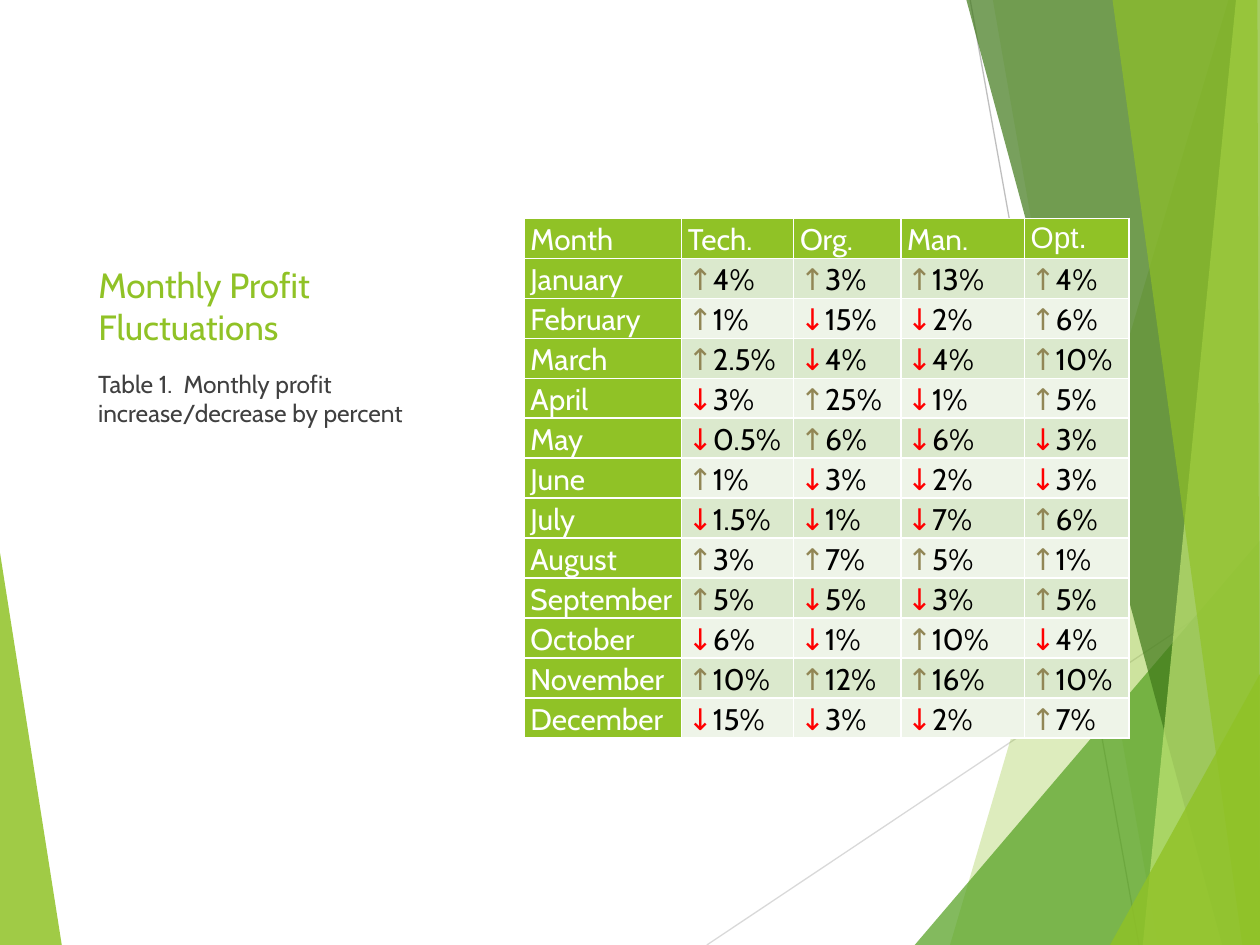
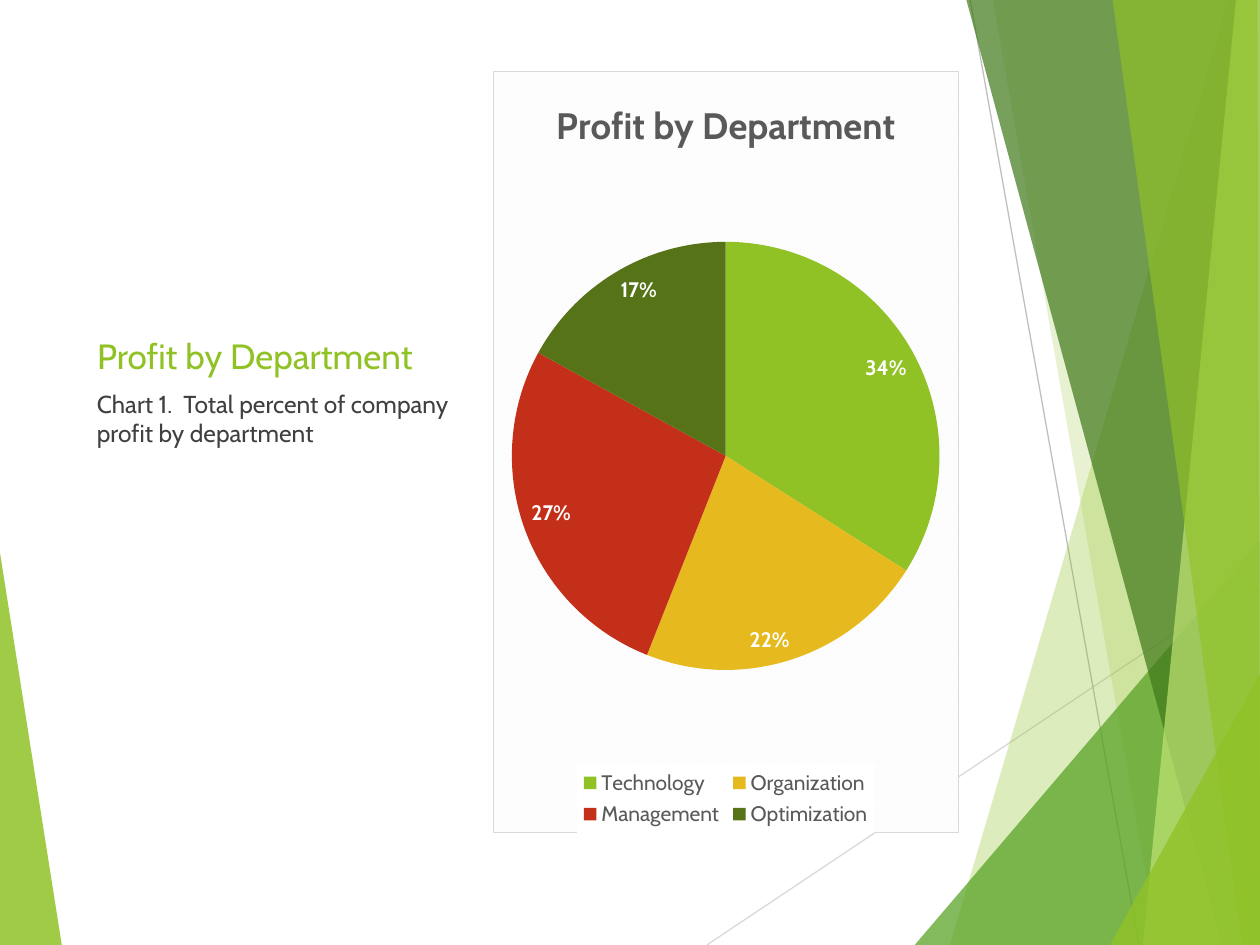
"""Build two slides on monthly and departmental profit."""
from lxml import etree
from pptx import Presentation, util as u
from pptx.chart.data import CategoryChartData
from pptx.dml.color import RGBColor
from pptx.enum import chart as ch, shapes, text
from pptx.oxml import parse_xml
from pptx.oxml.ns import nsdecls, qn

LIME = RGBColor(0x90, 0xC2, 0x26)
LEAF = RGBColor(0x54, 0xA0, 0x21)
PINE = RGBColor(0x3F, 0x78, 0x19)
PALE = RGBColor(0xC0, 0xE4, 0x74)
GOLD = RGBColor(0xE6, 0xB9, 0x1E)
RUST = RGBColor(0xC4, 0x2F, 0x1A)
MOSS = RGBColor(0x56, 0x74, 0x17)
MIST = RGBColor(0xDB, 0xE9, 0xCD)
HAZE = RGBColor(0xEE, 0xF4, 0xE8)
SAND = RGBColor(0x91, 0x86, 0x55)
RED = RGBColor(0xFF, 0x00, 0x00)
INK = RGBColor(0x40, 0x40, 0x40)
GREY = RGBColor(0x59, 0x59, 0x59)
ASH = RGBColor(0xBF, 0xBF, 0xBF)
SILVER = RGBColor(0xD9, 0xD9, 0xD9)
BLACK = RGBColor(0, 0, 0)
WHITE = RGBColor(0xFF, 0xFF, 0xFF)
FONT = "Cabin"

deck = Presentation()
deck.slide_width, deck.slide_height = u.Inches(10), u.Inches(7.5)
COL, ROW = deck.slide_width // 1000, deck.slide_height // 1000
plain = deck.slide_layouts[5]


def box(left, top, wide, high):
    return left * COL, top * ROW, wide * COL, high * ROW


def style(font, size, color, name=FONT, bold=False):
    font.size, font.name, font.bold = u.Pt(size), name, bold
    font.color.rgb = color


topics = [
    ("Monthly Profit Fluctuations", (68, 231, 305, 143),
     "Table 1.  Monthly profit increase/decrease by percent", (68, 384, 349, 556)),
    ("Profit by Department", (67, 219, 305, 186),
     "Chart 1.  Total percent of company profit by department", (67, 405, 305, 378)),
]
pages = []
for head, spot, note, place in topics:
    page = deck.slides.add_slide(plain)
    pages.append(page)
    title = page.shapes.title
    title.left, title.top, title.width, title.height = box(*spot)
    body = page.shapes.add_textbox(*box(*place))
    for shape, words, size, color in ((title, head, 20, LIME), (body, note, 14, INK)):
        frame = shape.text_frame
        frame.text, frame.word_wrap = words, True
        frame.auto_size = text.MSO_AUTO_SIZE.NONE
        para = frame.paragraphs[0]
        para.alignment = text.PP_ALIGN.LEFT
        style(para.font, size, color)
    title.text_frame.vertical_anchor = text.MSO_ANCHOR.BOTTOM
    body.text_frame.paragraphs[0].space_before = u.Pt(10)
first, second = pages

foot, peak = (1000, 1000), (1000, 0)
bands = [
    ([(0, 585), (49, 1000), (0, 1000)], LIME, 85),
    ([(975, 0), (754, 1000), foot, peak], LIME, 30),
    ([(788, 0), (919, 1000), foot, peak], LIME, 20),
    ([(726, 1000), (1000, 572), foot], LEAF, 72),
    ([(767, 0), (970, 1000), foot, peak], PINE, 70),
    ([(981, 0), (907, 1000), foot, peak], PALE, 70),
    ([(883, 0), (986, 1000), foot, (998, 0)], LIME, 65),
    ([(881, 1000), (1000, 713), foot], LIME, 80),
]
parts = []
for points, color, share in bands:
    build = first.shapes.build_freeform(*points[0], scale=(COL, ROW))
    build.add_line_segments(points[1:], close=True)
    band = build.convert_to_shape()
    band.shadow.inherit = False
    band.line.fill.background()
    band.fill.solid()
    band.fill.fore_color.rgb = color
    tint = band.element.spPr.find(".//" + qn("a:srgbClr"))
    etree.SubElement(tint, qn("a:alpha")).set("val", str(share * 1000))
    parts.append(band)
rays = []
for start, end, color in (((561, 1000), (1000, 609), SILVER), ((770, 0), (904, 1000), ASH)):
    ray = first.shapes.add_connector(
        shapes.MSO_CONNECTOR.STRAIGHT,
        start[0] * COL, start[1] * ROW, end[0] * COL, end[1] * ROW)
    ray.line.color.rgb, ray.line.width = color, u.Pt(0.75)
    etree.SubElement(ray.element.spPr, qn("a:effectLst"))
    rays.append(ray)
parts[1:1] = rays
tree = plain.shapes.element
for rank, part in enumerate(parts):
    part.element.xpath(".//p:cNvPr")[0].set("id", str(100 + rank))
    tree.insert(2 + rank, part.element)

heads = ["Month", "Tech.", "Org.", "Man.", "Opt."]
months = """January ↑4% ↑3% ↑13% ↑4%
February ↑1% ↓15% ↓2% ↑6%
March ↑2.5% ↓4% ↓4% ↑10%
April ↓3% ↑25% ↓1% ↑5%
May ↓0.5% ↑6% ↓6% ↓3%
June ↑1% ↓3% ↓2% ↓3%
July ↓1.5% ↓1% ↓7% ↑6%
August ↑3% ↑7% ↑5% ↑1%
September ↑5% ↓5% ↓3% ↑5%
October ↓6% ↓1% ↑10% ↓4%
November ↑10% ↑12% ↑16% ↑10%
December ↓15% ↓3% ↓2% ↑7%"""
rows = [heads] + [line.split() for line in months.splitlines()]
widths = [125, 89, 85, 98, 83]
grid = first.shapes.add_table(
    len(rows), len(heads), *box(416, 231, sum(widths), 41 * len(rows))).table
grid.first_row = grid.horz_banding = False
for col, width in zip(grid.columns, widths):
    col.width = width * COL
for r, row in enumerate(rows):
    grid.rows[r].height = 41 * ROW
    for c, word in enumerate(row):
        cell = grid.cell(r, c)
        cell.margin_left = cell.margin_right = 5 * COL
        cell.margin_top = cell.margin_bottom = 0
        props = cell._tc.get_or_add_tcPr()
        for side in "LRTB":
            props.append(parse_xml(
                f'<a:ln{side} {nsdecls("a")} w="12700"><a:solidFill>'
                f'<a:srgbClr val="{WHITE}"/></a:solidFill></a:ln{side}>'))
        label = r == 0 or c == 0
        cell.fill.solid()
        cell.fill.fore_color.rgb = LIME if label else MIST if r % 2 else HAZE
        para = cell.text_frame.paragraphs[0]
        para.line_spacing = 1.1
        style(para.font, 17, WHITE if label else BLACK, "Arial" if word == "Opt." else FONT)
        for bit in [word] if label else [word[0], word[1:]]:
            run = para.add_run()
            run.text = bit
            if bit in "↑↓":
                run.font.color.rgb = SAND if bit == "↑" else RED

data = CategoryChartData()
data.categories = ["Technology", "Organization", "Management", "Optimization"]
data.add_series("Series 1", (34, 22, 27, 17))
pie = second.shapes.add_chart(ch.XL_CHART_TYPE.PIE, *box(391, 75, 370, 807), data).chart
style(pie.font, 10, BLACK)
pie.has_title = True
pie.chart_title.text_frame.text = "Profit by Department"
style(pie.chart_title.text_frame.paragraphs[0].font, 21, GREY, bold=True)
pie.chart_title.include_in_layout = False
pie.has_legend = True
key = pie.legend
key.position, key.include_in_layout = ch.XL_LEGEND_POSITION.BOTTOM, False
style(key.font, 12, GREY)
plot = pie.plots[0]
plot.vary_by_categories = True
for n, color in enumerate((LIME, GOLD, RUST, MOSS)):
    fill = plot.series[0].points[n].format.fill
    fill.solid()
    fill.fore_color.rgb = color
plot.has_data_labels = True
tags = plot.data_labels
tags.show_percentage, tags.show_value = True, False
tags.number_format, tags.number_format_is_linked = "0%", False
tags.position = ch.XL_LABEL_POSITION.INSIDE_END
style(tags.font, 12, WHITE, bold=True)

root = pie.element
area = root.find(".//" + qn("c:plotArea"))
legend = root.find(".//" + qn("c:legend"))
for owner, slot, sizes in ((area, 0, (0.04, 0.22, 0.92, 0.57)),
                           (legend, 1, (0.18, 0.91, 0.64, 0.09))):
    for old in owner.findall(qn("c:layout")):
        owner.remove(old)
    marks = "".join(f'<c:{tag} val="{size}"/>' for tag, size in zip("xywh", sizes))
    owner.insert(slot, parse_xml(
        f'<c:layout {nsdecls("c")}><c:manualLayout><c:layoutTarget val="inner"/>'
        f'<c:xMode val="edge"/><c:yMode val="edge"/>{marks}</c:manualLayout></c:layout>'))
looks = [
    (legend.find(qn("c:overlay")),
     f'<a:solidFill><a:srgbClr val="{WHITE}"/></a:solidFill>'),
    (root.find(qn("c:chart")),
     '<a:pattFill prst="dkDnDiag"><a:fgClr><a:srgbClr val="F2F2F2"/></a:fgClr>'
     f'<a:bgClr><a:srgbClr val="{WHITE}"/></a:bgClr></a:pattFill>'
     f'<a:ln w="9525"><a:solidFill><a:srgbClr val="{SILVER}"/></a:solidFill></a:ln>'),
]
for node, look in looks:
    node.addnext(parse_xml(f'<c:spPr {nsdecls("c", "a")}>{look}</c:spPr>'))

deck.save("out.pptx")
